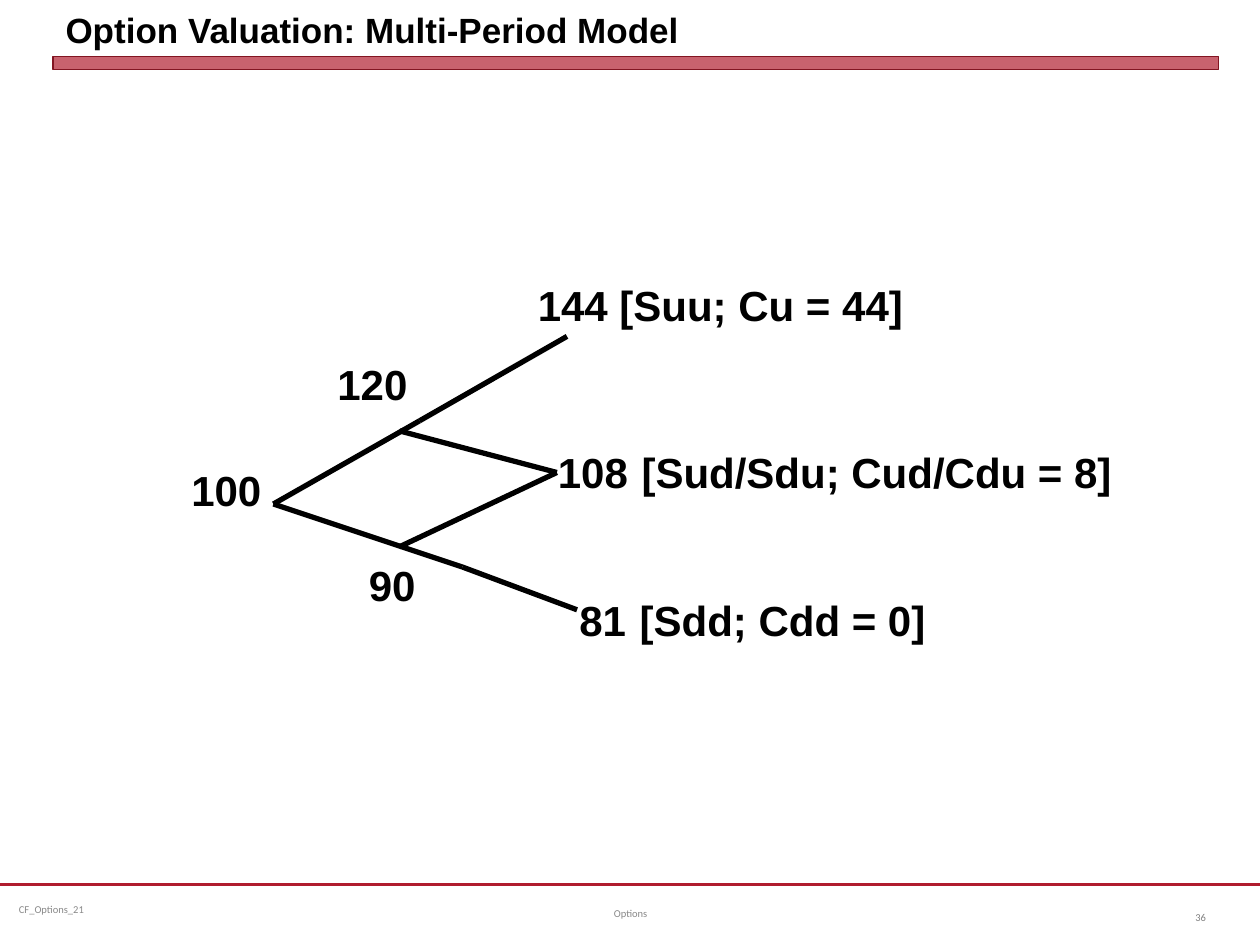
from dataclasses import dataclass

from lxml import etree
from pptx import Presentation
from pptx.dml.color import RGBColor
from pptx.enum.shapes import MSO_CONNECTOR, MSO_SHAPE
from pptx.enum.text import MSO_ANCHOR, MSO_AUTO_SIZE, PP_ALIGN
from pptx.oxml.ns import qn
from pptx.util import Inches, Pt

STRAIGHT = MSO_CONNECTOR.STRAIGHT
RECTANGLE = MSO_SHAPE.RECTANGLE
BOTTOM, MIDDLE, TOP = MSO_ANCHOR.BOTTOM, MSO_ANCHOR.MIDDLE, MSO_ANCHOR.TOP
LEFT, CENTER, RIGHT = PP_ALIGN.LEFT, PP_ALIGN.CENTER, PP_ALIGN.RIGHT
FIT_TEXT, FIXED = MSO_AUTO_SIZE.SHAPE_TO_FIT_TEXT, MSO_AUTO_SIZE.NONE
TITLE_ONLY = 5


@dataclass(frozen=True)
class Theme:
    """Colours, fonts and type sizes of the slide."""
    ink: str = "000000"
    red: str = "B01C2E"
    dark_red: str = "821522"
    grey: str = "898989"
    number_grey: str = "808080"
    main_font: str = "Arial"
    footer_font: str = "Calibri"
    title_size: int = 20
    label_size: int = 24
    gap_size: int = 28
    footer_size: int = 6


THEME = Theme()

ROOT, UP, DOWN = (2.17, 4), (3.33, 3.34), (3.67, 4.5)
UP_UP, MIDDLE_END, DOWN_DOWN = (4.5, 2.67), (4.42, 3.75), (4.58, 4.84)
BRANCHES = [
    (ROOT, UP),
    (UP, UP_UP),
    ((3.17, 3.42), MIDDLE_END),
    (ROOT, DOWN),
    (DOWN, DOWN_DOWN),
    ((3.17, 4.34), MIDDLE_END),
]
NODE_LABELS = [
    ((1.42, 3.64, 0.76, 0.5), ["100"]),
    ((2.83, 4.39, 0.57, 0.5), ["90"]),
    ((2.58, 2.8, 0.76, 0.5), ["120"]),
    ((4.5, 4.61, 2.95, 0.57), ["81", " ", "[Sdd; Cdd = 0]"]),
    ((4.33, 3.44, 4.6, 0.57), ["108", " ", "[Sud/Sdu; Cud/Cdu = 8]"]),
    ((4.17, 2.17, 3.1, 0.5), ["144 [Suu; Cu = 44]"]),
]
FOOTERS = [
    ((0.08, 7.02, 2.58, 0.4), "CF_Options_21", LEFT, THEME.grey, (0.07, 0.04)),
    ((3.42, 7.05, 3.17, 0.4), "Options", CENTER, THEME.grey, (0.1, 0.05)),
    ((9.17, 7.08, 0.5, 0.4), "36", RIGHT, THEME.number_grey, (0.1, 0.05)),
]


def style_font(font, name, size, color, bold=False):
    """Set the look of a font."""
    font.name, font.size, font.bold = name, Pt(size), bold
    font.color.rgb = RGBColor.from_string(color)


def add_line(page, start, end, color, width):
    """Draw a straight line without shadow."""
    line = page.shapes.add_connector(STRAIGHT, *map(Inches, start + end))
    line.line.color.rgb = RGBColor.from_string(color)
    line.line.width = Pt(width)
    etree.SubElement(line._element.spPr, qn("a:effectLst"))


def add_title(page, text):
    """Place and format the title placeholder."""
    title = page.shapes.title
    title.left, title.top, title.width, title.height = map(
        Inches, (0.42, 0.05, 9.25, 0.4))
    frame = title.text_frame
    frame.text = text
    frame.vertical_anchor, frame.auto_size = BOTTOM, FIXED
    para = frame.paragraphs[0]
    para.alignment = LEFT
    style_font(para.runs[0].font, THEME.main_font, THEME.title_size,
               THEME.ink, True)


def add_title_bar(page):
    """Draw the translucent bar under the title."""
    bar = page.shapes.add_shape(RECTANGLE, *map(Inches, (0.42, 0.45, 9.25, 0.1)))
    bar.shadow.inherit = False
    bar.fill.solid()
    bar.fill.fore_color.rgb = RGBColor.from_string(THEME.red)
    color = bar._element.spPr.find(qn("a:solidFill"))[0]
    etree.SubElement(color, qn("a:alpha"), val="69000")
    bar.line.color.rgb = RGBColor.from_string(THEME.dark_red)
    bar.line.width = Pt(0)


def add_node_label(page, place, parts):
    """Write a tree value, with a larger regular space between its parts."""
    frame = page.shapes.add_textbox(*map(Inches, place)).text_frame
    frame.word_wrap, frame.auto_size = False, FIT_TEXT
    frame.vertical_anchor = TOP
    for part in parts:
        span = frame.paragraphs[0].add_run()
        span.text = part
        is_gap = part == " "
        size = THEME.gap_size if is_gap else THEME.label_size
        style_font(span.font, THEME.main_font, size, THEME.ink, not is_gap)


def add_footer(page, place, text, alignment, color, insets):
    """Write one small footer text."""
    frame = page.shapes.add_textbox(*map(Inches, place)).text_frame
    frame.word_wrap, frame.vertical_anchor = True, MIDDLE
    frame.margin_left = frame.margin_right = Inches(insets[0])
    frame.margin_top = frame.margin_bottom = Inches(insets[1])
    frame.text = text
    para = frame.paragraphs[0]
    para.alignment = alignment
    style_font(para.runs[0].font, THEME.footer_font, THEME.footer_size, color)


def main():
    """Build the slide and save it."""
    deck = Presentation()
    deck.slide_width, deck.slide_height = Inches(10), Inches(7.5)
    page = deck.slides.add_slide(deck.slide_layouts[TITLE_ONLY])
    add_line(page, (0, 7.02), (10, 7.02), THEME.red, 1.25)
    add_title_bar(page)
    add_title(page, "Option Valuation: Multi-Period Model")
    for start, end in BRANCHES:
        add_line(page, start, end, THEME.ink, 3)
    for place, parts in NODE_LABELS:
        add_node_label(page, place, parts)
    for footer in FOOTERS:
        add_footer(page, *footer)
    deck.save("out.pptx")


if __name__ == "__main__":
    main()
